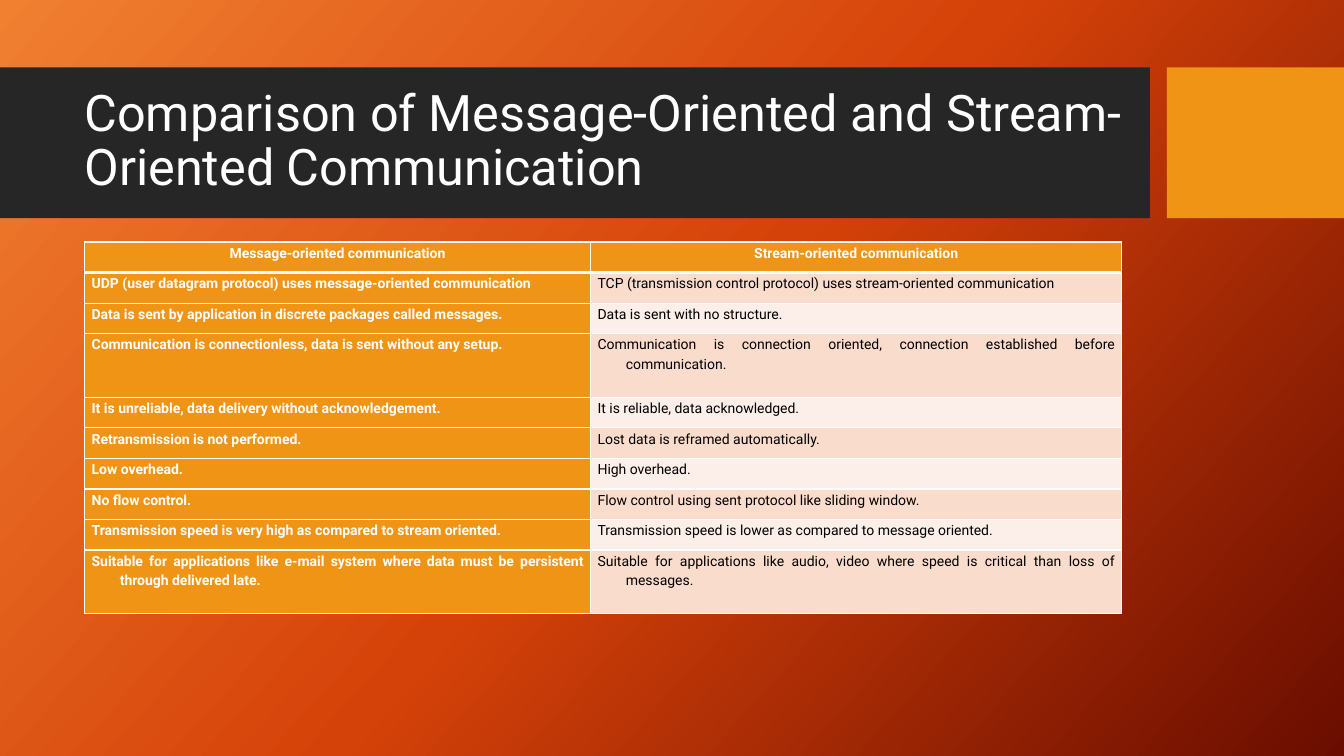
from copy import deepcopy

from lxml import etree
from pptx import Presentation
from pptx.dml.color import RGBColor
from pptx.enum.shapes import MSO_SHAPE
from pptx.enum.text import MSO_ANCHOR, PP_ALIGN
from pptx.oxml.ns import qn
from pptx.util import Cm, Pt

FONT = "Roboto"
WHITE = RGBColor(0xFF, 0xFF, 0xFF)
BLACK = RGBColor(0x00, 0x00, 0x00)
CHARCOAL = RGBColor(0x26, 0x26, 0x26)
ORANGE = RGBColor(0xF0, 0x94, 0x15)
PEACH = RGBColor(0xF9, 0xDC, 0xCC)
PALE_PEACH = RGBColor(0xFC, 0xEE, 0xE8)
GRADIENT = [
    (0, RGBColor(0xF1, 0x80, 0x31)),
    (0.5, RGBColor(0xD5, 0x42, 0x09)),
    (1, RGBColor(0x6A, 0x0D, 0x00)),
]

ROWS = [
    ("Message-oriented communication", "Stream-oriented communication"),
    ("UDP (user datagram protocol) uses message-oriented communication",
     "TCP (transmission control protocol) uses stream-oriented communication"),
    ("Data is sent by application in discrete packages called messages.",
     "Data is sent with no structure."),
    ("Communication is connectionless, data is sent without any setup.",
     "Communication is connection oriented, connection established before communication."),
    ("It is unreliable, data delivery without acknowledgement.",
     "It is reliable, data acknowledged."),
    ("Retransmission is not performed.", "Lost data is reframed automatically."),
    ("Low overhead.", "High overhead."),
    ("No flow control.", "Flow control using sent protocol like sliding window."),
    ("Transmission speed is very high as compared to stream oriented.",
     "Transmission speed is lower as compared to message oriented."),
    ("Suitable for applications like e-mail system where data must be persistent "
     "through delivered late.",
     "Suitable for applications like audio, video where speed is critical than loss of messages."),
]
TALL_ROWS = (3, 9)
COL_WIDTHS = (Cm(12.75), Cm(13.39))
ROW_HEIGHT, TALL_HEIGHT = Cm(0.77), Cm(1.6)
HANGING = Cm(0.71)


def add_border(cell, side, width):
    ln = etree.SubElement(cell._tc.get_or_add_tcPr(), qn(f"a:ln{side}"), w=str(Pt(width)))
    fill = etree.SubElement(ln, qn("a:solidFill"))
    etree.SubElement(fill, qn("a:srgbClr"), val=str(WHITE))


prs = Presentation()
prs.slide_width, prs.slide_height = Cm(33.87), Cm(19.05)
s = prs.slides.add_slide(prs.slide_layouts[6])

# Background: three-stop diagonal gradient
fill = s.background.fill
fill.gradient()
fill.gradient_angle = 318
gs_list = next(s.element.iter(qn("a:gsLst")))
gs_list.append(deepcopy(gs_list[0]))
for stop, (position, color) in zip(fill.gradient_stops, GRADIENT):
    stop.position = position
    stop.color.rgb = color

# Title band and accent block
for left, width, color in ((0, 28.98, CHARCOAL), (29.41, 4.46, ORANGE)):
    sp = s.shapes.add_shape(MSO_SHAPE.RECTANGLE, Cm(left), Cm(1.7), Cm(width), Cm(3.8))
    sp.shadow.inherit = False
    sp.fill.solid()
    sp.fill.fore_color.rgb = color
    sp.line.fill.background()

tf = s.shapes.add_textbox(Cm(1.88), Cm(2.08), Cm(26.7), Cm(3)).text_frame
tf.word_wrap = True
tf.vertical_anchor = MSO_ANCHOR.MIDDLE
p = tf.paragraphs[0]
p.text = "Comparison of Message-Oriented and Stream-Oriented Communication"
p.line_spacing = 0.9
p.font.name, p.font.size = FONT, Pt(36)
p.font.color.rgb = WHITE

# Comparison table
height = ROW_HEIGHT * (len(ROWS) - len(TALL_ROWS)) + TALL_HEIGHT * len(TALL_ROWS)
table = s.shapes.add_table(len(ROWS), 2, Cm(2.13), Cm(6.1), sum(COL_WIDTHS), height).table
for column, width in zip(table.columns, COL_WIDTHS):
    column.width = width

for i, texts in enumerate(ROWS):
    table.rows[i].height = TALL_HEIGHT if i in TALL_ROWS else ROW_HEIGHT
    for j, text in enumerate(texts):
        cell = table.cell(i, j)
        cell.margin_left = cell.margin_right = Cm(0.18)
        cell.margin_top = cell.margin_bottom = 0
        for side in "LRTB":
            under_header = (i, side) in ((0, "B"), (1, "T"))
            add_border(cell, side, 3 if under_header else 1)

        emphasized = i == 0 or j == 0
        cell.fill.solid()
        cell.fill.fore_color.rgb = ORANGE if emphasized else PEACH if i % 2 else PALE_PEACH

        p = cell.text_frame.paragraphs[0]
        p.text = text
        p.alignment = PP_ALIGN.JUSTIFY if i else PP_ALIGN.CENTER
        p.line_spacing = Pt(14)
        p.space_after = Pt(3)
        pPr = p._p.get_or_add_pPr()
        pPr.set("marL", str(HANGING))
        pPr.set("indent", str(-HANGING))
        p.font.name, p.font.size = FONT, Pt(10)
        p.font.bold = emphasized
        p.font.color.rgb = WHITE if emphasized else BLACK

prs.save("out.pptx")
